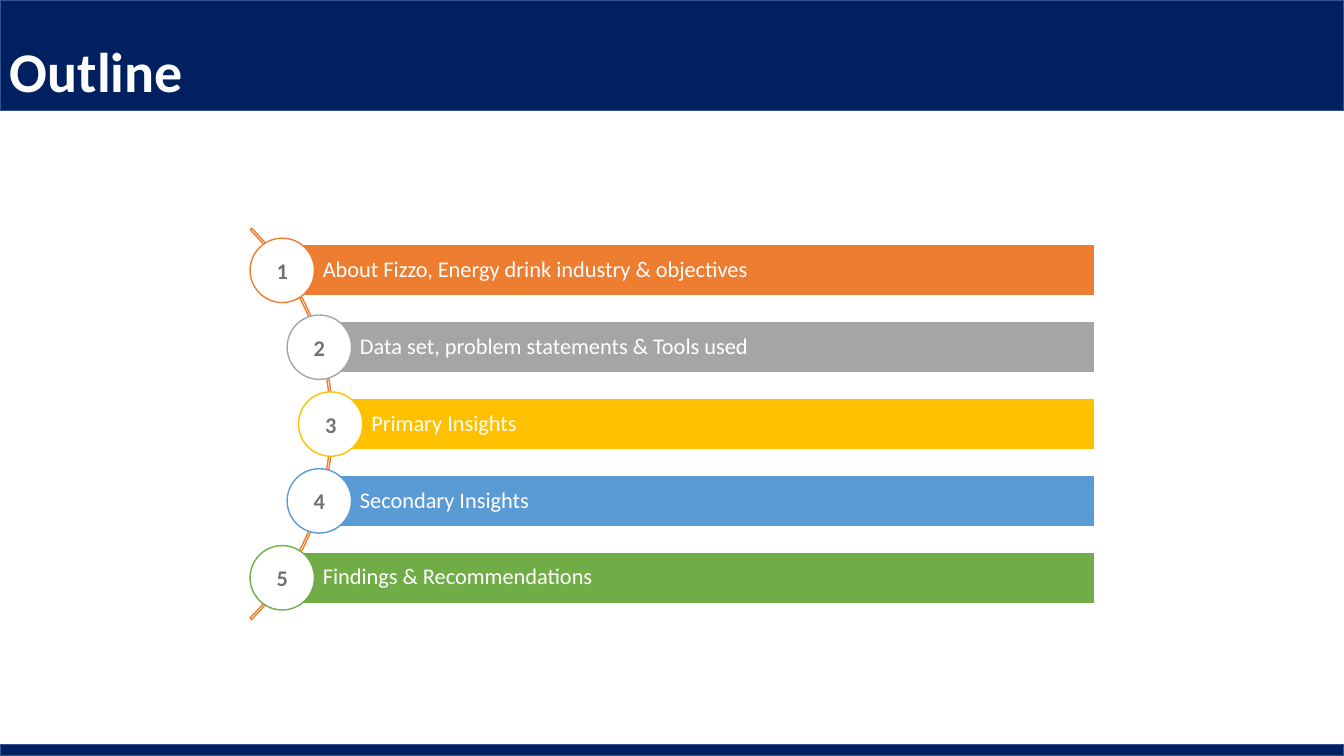
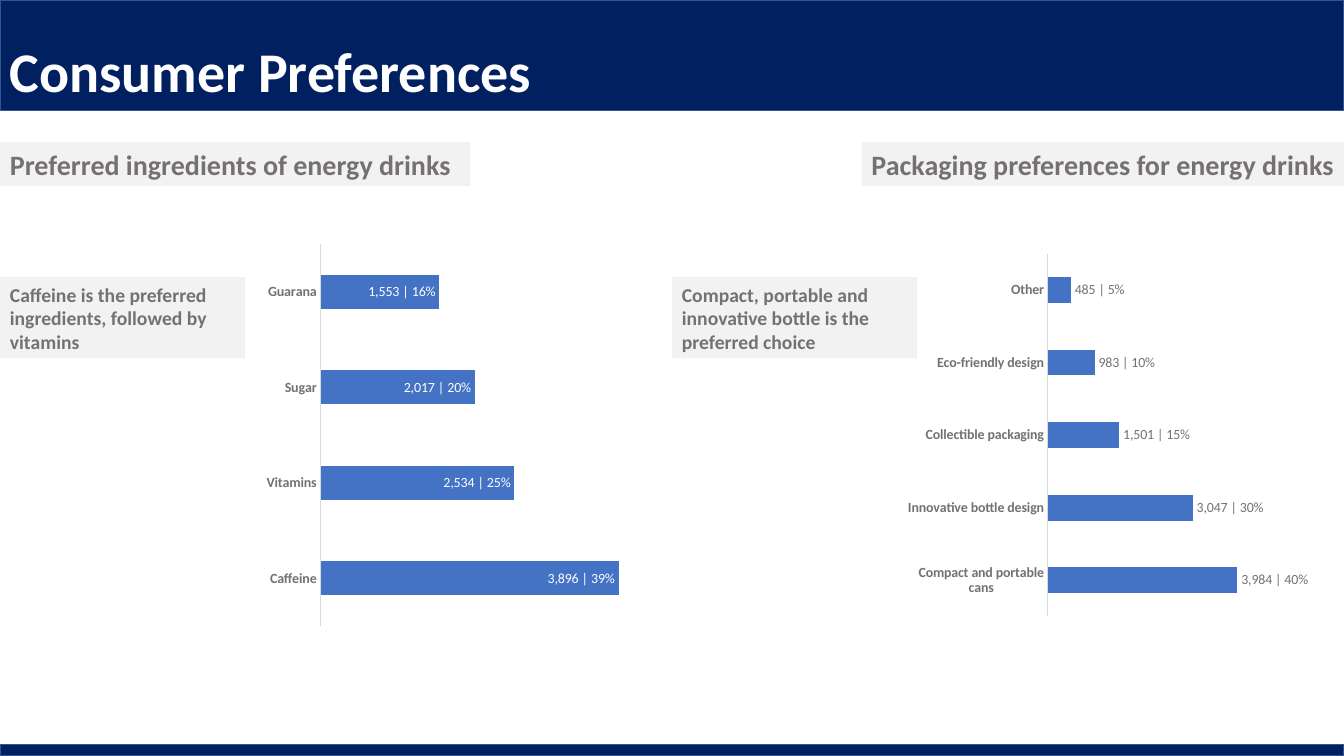
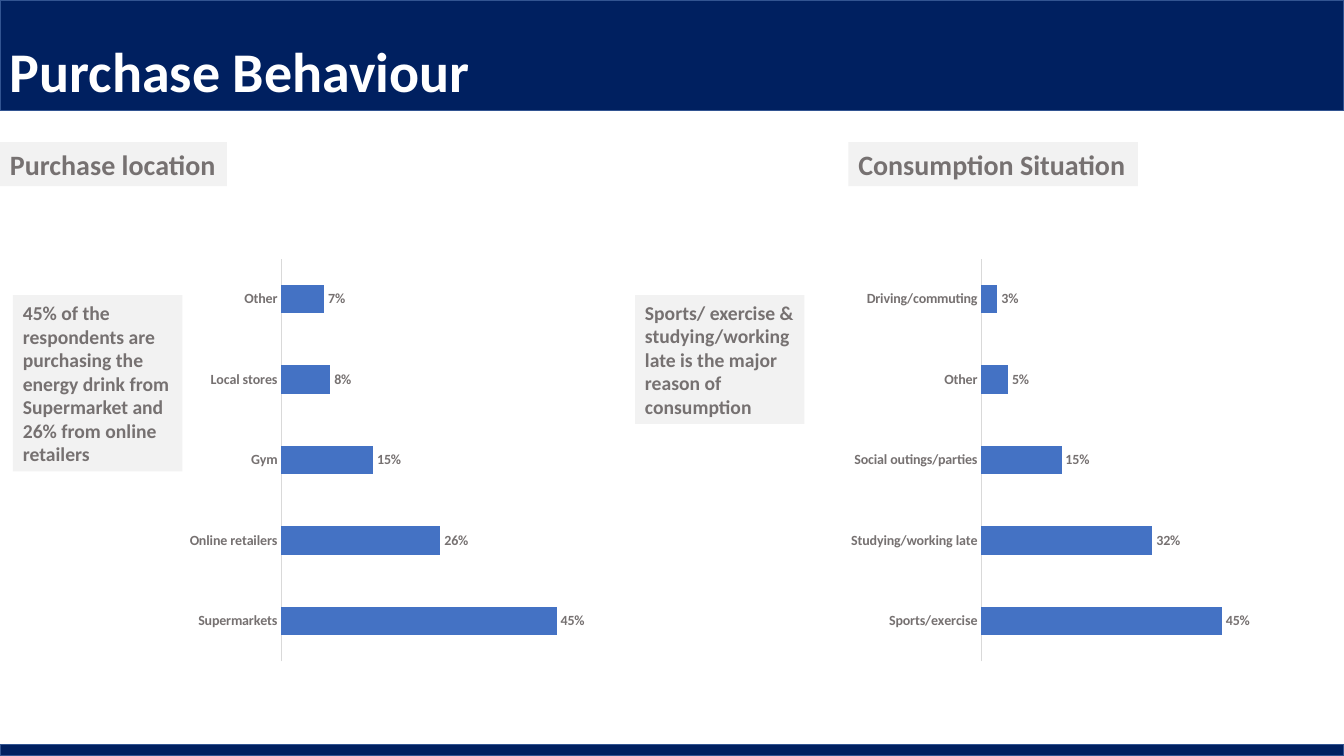
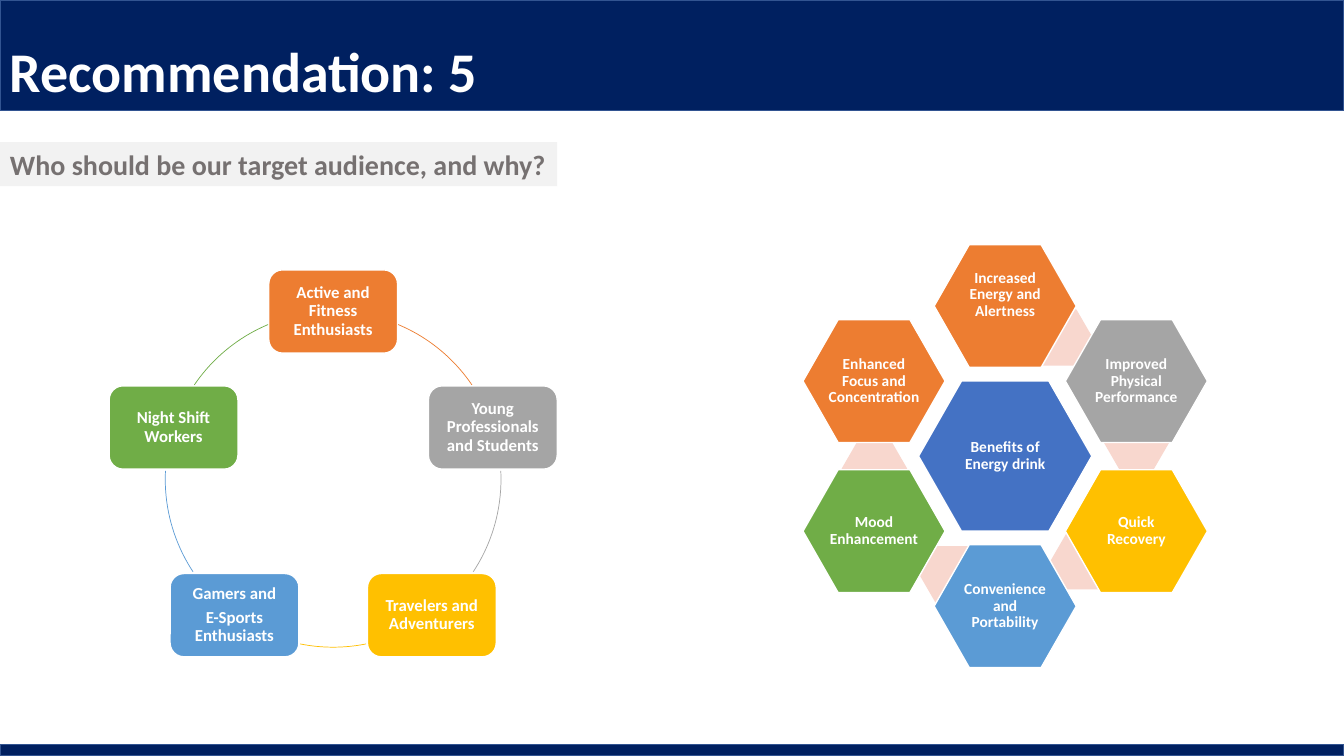
from math import cos, radians, sin

from lxml import etree
from pptx import Presentation
from pptx.chart.data import CategoryChartData
from pptx.dml.color import RGBColor
from pptx.enum.chart import XL_CHART_TYPE, XL_LABEL_POSITION, XL_TICK_MARK
from pptx.enum.shapes import MSO_SHAPE
from pptx.enum.text import MSO_ANCHOR, PP_ALIGN
from pptx.util import Pt

RECT, ROUNDED, OVAL = MSO_SHAPE.RECTANGLE, MSO_SHAPE.ROUNDED_RECTANGLE, MSO_SHAPE.OVAL
ARC, BLOCK_ARC, HEXAGON = MSO_SHAPE.ARC, MSO_SHAPE.BLOCK_ARC, MSO_SHAPE.HEXAGON
LEFT, CENTER, MIDDLE = PP_ALIGN.LEFT, PP_ALIGN.CENTER, MSO_ANCHOR.MIDDLE
BAR_CLUSTERED, NO_TICKS = XL_CHART_TYPE.BAR_CLUSTERED, XL_TICK_MARK.NONE
INSIDE_END, OUTSIDE_END = XL_LABEL_POSITION.INSIDE_END, XL_LABEL_POSITION.OUTSIDE_END

FONT = "Calibri"
NAVY, NAVY_EDGE, BLUE = "002060", "325491", "4472C4"
WHITE, PALE, GREY, AXIS, PINK = "FFFFFF", "F2F2F2", "767171", "D9D9D9", "F8D7CE"
ACCENTS = ["ED7D31", "A5A5A5", "FFC000", "5B9BD5", "70AD47"]
WIDTH, HEIGHT = 960, 540

rgb = RGBColor.from_string


def draw(slide, kind, box, fill=None, line=None, weight=1):
    shape = slide.shapes.add_shape(kind, *map(Pt, box))
    shape.shadow.inherit = False
    if fill:
        shape.fill.solid()
        shape.fill.fore_color.rgb = rgb(fill)
    else:
        shape.fill.background()
    if line:
        shape.line.color.rgb = rgb(line)
        shape.line.width = Pt(weight)
    else:
        shape.line.fill.background()
    return shape


def write(shape, text, size, colour, bold=True, align=LEFT, insets=(7.2, 3.6, 7.2, 3.6), spacing=1):
    """Fill a shape with text; insets are left, top, right, bottom."""
    frame = shape.text_frame
    frame.text = text
    frame.word_wrap = True
    frame.vertical_anchor = MIDDLE
    frame.margin_left, frame.margin_top, frame.margin_right, frame.margin_bottom = map(Pt, insets)
    for paragraph in frame.paragraphs:
        paragraph.alignment = align
        paragraph.line_spacing = spacing
        paragraph.font.name = FONT
        paragraph.font.size = Pt(size)
        paragraph.font.bold = bold
        paragraph.font.color.rgb = rgb(colour)
    # A gap only between paragraphs
    for paragraph in frame.paragraphs[:-1]:
        paragraph.space_after = Pt(0.35 * size)


prs = Presentation()
prs.slide_width, prs.slide_height = Pt(WIDTH), Pt(HEIGHT)

# Bands and title on every slide
slides = []
for title in ["Outline", "Consumer Preferences", "Purchase Behaviour", "Recommendation: 5"]:
    slide = prs.slides.add_slide(prs.slide_layouts[6])
    for band in [(0, 0, WIDTH, 79.2), (0, 532, WIDTH, 8)]:
        draw(slide, RECT, band, NAVY, NAVY_EDGE)
    write(slide.shapes.add_textbox(Pt(0), Pt(22.3), Pt(728), Pt(55.4)), title, 40, WHITE)
    slides.append(slide)
outline, preferences, behaviour, audience = slides

# Outline: five bars along an arc
arc = draw(outline, BLOCK_ARC, (-157.7, 105.1, 395.3, 395.3), line=ACCENTS[0])
arc.adjustments[0], arc.adjustments[1], arc.adjustments[2] = 189, 27, 0.004

BAR_RIGHT, BAR_H, BADGE, ROW_PITCH = 782.3, 36.5, 46, 54.9
topics = [
    ("About Fizzo, Energy drink industry & objectives", 201.6),
    ("Data set, problem statements & Tools used", 228.1),
    ("Primary Insights", 236.2),
    ("Secondary Insights", 228.1),
    ("Findings & Recommendations", 201.6),
]
for i, ((topic, left), accent) in enumerate(zip(topics, ACCENTS)):
    middle = 302.9 + (i - 2) * ROW_PITCH
    bar = draw(outline, RECT, (left, middle - BAR_H / 2, BAR_RIGHT - left, BAR_H), accent, WHITE)
    write(bar, topic, 16, WHITE, bold=False, insets=(29, 3, 3, 3), spacing=0.9)
    badge = draw(outline, OVAL, (left - BADGE / 2, middle - BADGE / 2, BADGE, BADGE), WHITE, accent)
    write(badge, str(i + 1), 16, GREY, align=CENTER, insets=(0, 0, 0, 0))

# Section headings
for slide, heading, left, width in [
    (preferences, "Preferred ingredients of energy drinks", 0, 336),
    (preferences, "Packaging preferences for energy drinks", 615.4, 344.6),
    (behaviour, "Purchase location", 0, 162),
    (behaviour, "Consumption Situation", 606, 206.8),
    (audience, "Who should be our target audience, and why?", 0, 398),
]:
    write(draw(slide, RECT, (left, 101.5, width, 31.5), PALE), heading, 20, GREY)

# Findings beside the charts
for slide, finding, box in [
    (preferences, "Caffeine is the preferred ingredients, followed by vitamins", (0, 198, 175, 58)),
    (preferences, "Compact, portable and innovative bottle is the preferred choice", (480, 198, 175, 58)),
    (behaviour, "45% of the respondents are purchasing the energy drink from Supermarket "
                "and 26% from online retailers", (9.2, 210.8, 121, 126)),
    (behaviour, "Sports/ exercise & studying/working late is the major reason of consumption",
     (453.6, 210.8, 121, 92)),
]:
    write(draw(slide, RECT, box, PALE), finding, 14, GREY)

# Charts: slide, chart box, plot box, axis maximum, number format, label colour, data, shares
charts = [
    (preferences, (184.3, 168.5, 295.2, 284.4), (229, 174.3, 246, 273), 4500, "#,##0", WHITE,
     {"Caffeine": 3896, "Vitamins": 2534, "Sugar": 2017, "Guarana": 1553},
     ["39%", "25%", "20%", "16%"]),
    (preferences, (640, 168.5, 295.2, 284.4), (749.3, 181.4, 154, 259), 4500, "#,##0", GREY,
     {"Compact and portable cans": 3984, "Innovative bottle design": 3047,
      "Collectible packaging": 1501, "Eco-friendly design": 983, "Other": 485},
     ["40%", "30%", "15%", "10%", "5%"]),
    (behaviour, (129.6, 179.3, 296.6, 300.2), (201, 185, 218.6, 287.5), 0.5, "0%", GREY,
     {"Supermarkets": 0.45, "Online retailers": 0.26, "Gym": 0.15, "Local stores": 0.08,
      "Other": 0.07}, []),
    (behaviour, (602, 179.3, 296.6, 300.2), (701, 185, 191, 287.5), 0.5, "0%", GREY,
     {"Sports/exercise": 0.45, "Studying/working late": 0.32, "Social outings/parties": 0.15,
      "Other": 0.05, "Driving/commuting": 0.03}, []),
]
for slide, box, plot_box, maximum, number_format, label_colour, values, shares in charts:
    data = CategoryChartData(number_format=number_format)
    data.categories = list(values)
    data.add_series("Series 1", list(values.values()))
    chart = slide.shapes.add_chart(BAR_CLUSTERED, *map(Pt, box), data).chart
    chart.has_legend = chart.has_title = False
    chart.font.name, chart.font.size = FONT, Pt(10)
    chart.font.color.rgb = rgb(GREY)

    categories = chart.category_axis
    categories.major_tick_mark = NO_TICKS
    categories.tick_labels.font.bold = True
    categories.tick_labels.font.size = Pt(10)
    categories.tick_labels.font.color.rgb = rgb(GREY)
    categories.format.line.color.rgb = rgb(AXIS)
    categories.format.line.width = Pt(0.75)
    amounts = chart.value_axis
    amounts.minimum_scale, amounts.maximum_scale = 0, maximum
    amounts.has_major_gridlines = amounts.visible = False

    plot = chart.plots[0]
    plot.gap_width, plot.vary_by_categories = 182, False
    series = plot.series[0]
    series.format.fill.solid()
    series.format.fill.fore_color.rgb = rgb(BLUE)
    position = INSIDE_END if label_colour == WHITE else OUTSIDE_END
    labels = series.data_labels
    labels.show_value = True
    labels.number_format, labels.number_format_is_linked = number_format, False
    labels.position = position
    labels.font.name, labels.font.size, labels.font.bold = FONT, Pt(10), True
    labels.font.color.rgb = rgb(label_colour)
    for i, (amount, share) in enumerate(zip(values.values(), shares)):
        label = series.points[i].data_label
        run = label.text_frame.paragraphs[0].add_run()
        run.text = f"{amount:,} | {share}"
        run.font.name, run.font.size, run.font.bold = FONT, Pt(10), False
        run.font.color.rgb = rgb(label_colour)
        label.position = position

    # Fixed plot area, as fractions of the chart
    area = chart.plots[0]._element.getparent()
    namespace = etree.QName(area).namespace
    for old in area.findall(f"{{{namespace}}}layout"):
        area.remove(old)
    layout = etree.Element(f"{{{namespace}}}layout")
    manual = etree.SubElement(layout, f"{{{namespace}}}manualLayout")
    for tag, value in [
        ("layoutTarget", "inner"), ("xMode", "edge"), ("yMode", "edge"),
        ("x", (plot_box[0] - box[0]) / box[2]), ("y", (plot_box[1] - box[1]) / box[3]),
        ("w", plot_box[2] / box[2]), ("h", plot_box[3] / box[3]),
    ]:
        etree.SubElement(manual, f"{{{namespace}}}{tag}").set("val", str(value))
    area.insert(0, layout)

# Audience: five groups around a circle, joined by arcs
RING_X, RING_Y, RING_R, GROUP_W, GROUP_H = 238, 342.4, 119.9, 92, 59.5
groups = [
    ("Active and Fitness Enthusiasts", 292.8, 325.8),
    ("Young Professionals and Students", 357.1, 33.4),
    ("Travelers and Adventurers", 78.7, 101.3),
    ("Gamers and\nE-Sports Enthusiasts", 146.6, 182.9),
    ("Night Shift Workers", 214.2, 247.2),
]
for i, ((group, arc_start, arc_end), accent) in enumerate(zip(groups, ACCENTS)):
    angle = radians(72 * i - 90)
    x, y = RING_X + RING_R * cos(angle), RING_Y + RING_R * sin(angle)
    card = draw(audience, ROUNDED, (x - GROUP_W / 2, y - GROUP_H / 2, GROUP_W, GROUP_H), accent, WHITE)
    write(card, group, 12, WHITE, align=CENTER, insets=(3.6,) * 4, spacing=0.9)
    link = draw(audience, ARC, (RING_X - RING_R, RING_Y - RING_R, 2 * RING_R, 2 * RING_R),
                line=accent, weight=0.5)
    # One degree is 0.6 adjustment units
    link.adjustments[0], link.adjustments[1] = arc_start * 0.6, arc_end * 0.6

# Benefits: six hexagons around a core
CORE_X, CORE_Y, STEP_X, STEP_Y = 718, 325.8, 93.7, 53.6
for x, y in [(757.1, 241.2), (811.8, 316.1), (773.6, 401), (680, 410.4), (624.6, 334.8)]:
    draw(audience, HEXAGON, (x - 23.4, y - 20.2, 46.8, 40.3), PINK).adjustments[0] = 0.289

PETAL, CORE = (101.5, 87.8), (123.8, 107.3)
benefits = [
    ("Benefits of Energy drink", 0, 0, CORE, BLUE, 1),
    ("Increased Energy and Alertness", 0, -2, PETAL, ACCENTS[0], 17),
    ("Improved Physical Performance", 1, -1, PETAL, ACCENTS[1], 1),
    ("Quick Recovery", 1, 1, PETAL, ACCENTS[2], 1),
    ("Convenience and Portability", 0, 2, PETAL, ACCENTS[3], 1),
    ("Mood Enhancement", -1, 1, PETAL, ACCENTS[4], 1),
    ("Enhanced Focus and Concentration", -1, -1, PETAL, ACCENTS[0], 1),
]
for benefit, column, row, (width, height), colour, bottom in benefits:
    x, y = CORE_X + column * STEP_X, CORE_Y + row * STEP_Y
    cell = draw(audience, HEXAGON, (x - width / 2, y - height / 2, width, height), colour, WHITE)
    cell.adjustments[0] = 0.286
    write(cell, benefit, 11, WHITE, align=CENTER, insets=(1, 1, 1, bottom), spacing=0.9)

prs.save("out.pptx")
